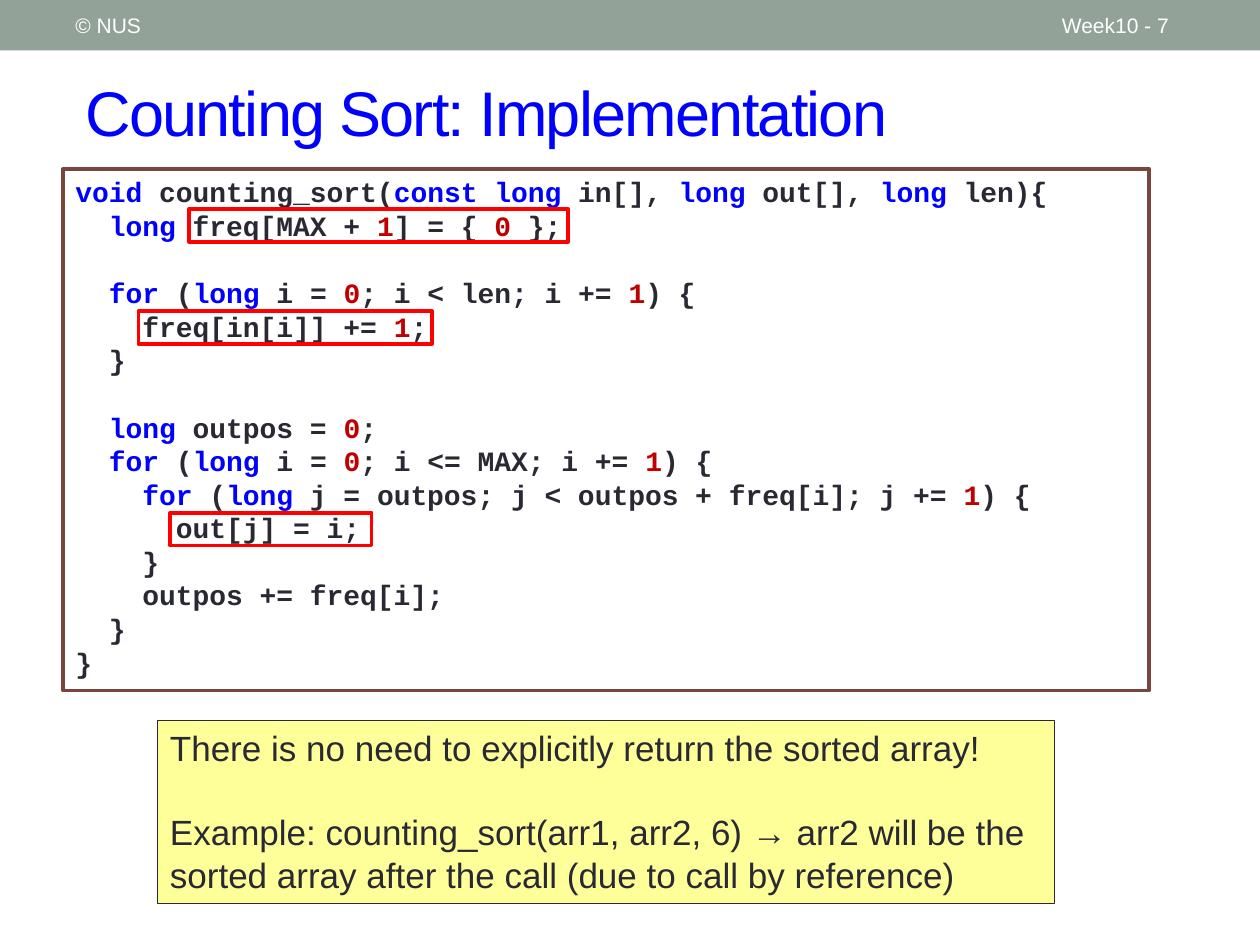
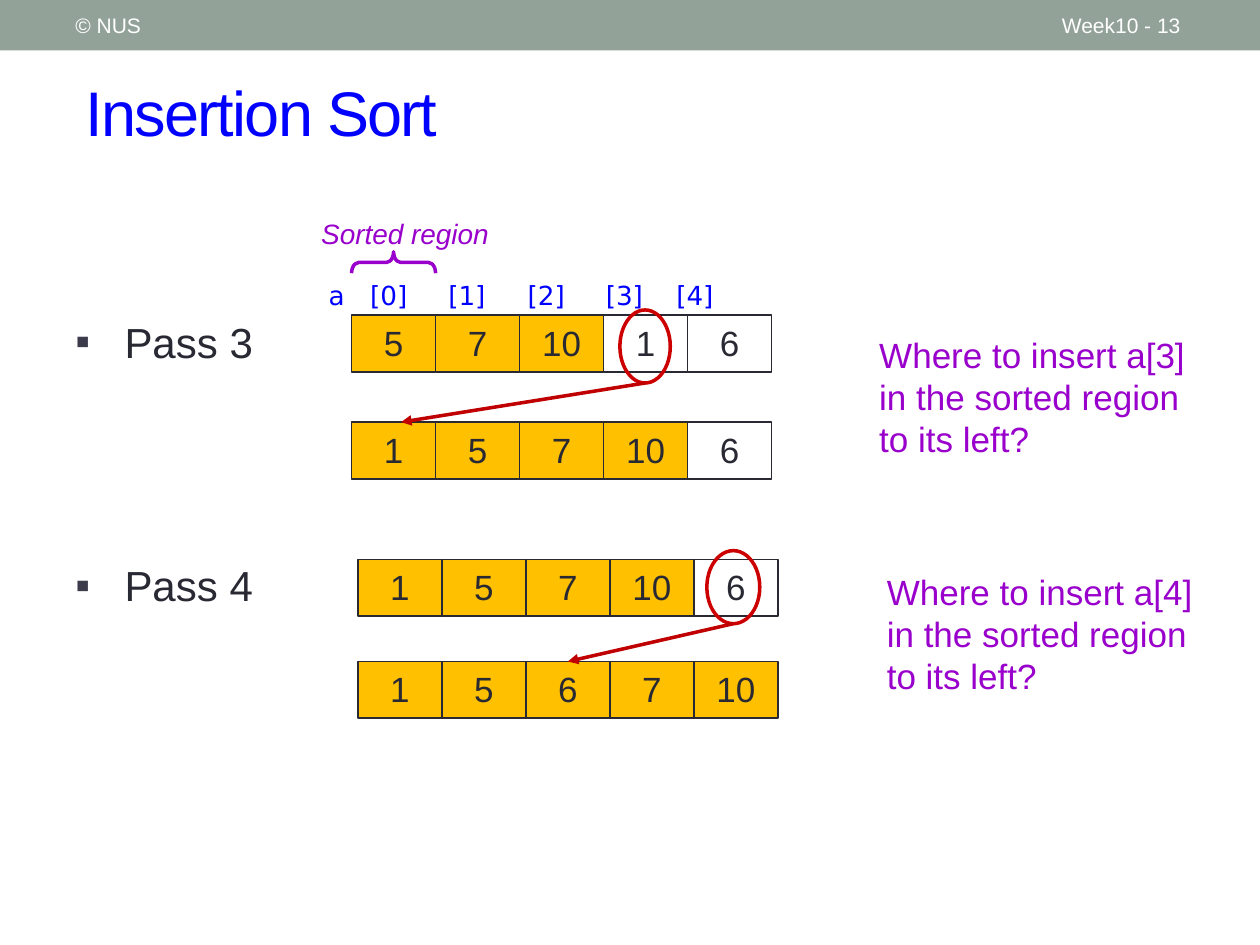
from itertools import groupby

from lxml import etree
from pptx import Presentation
from pptx.dml.color import RGBColor
from pptx.enum.shapes import MSO_CONNECTOR, MSO_SHAPE
from pptx.enum.text import MSO_ANCHOR, PP_ALIGN
from pptx.oxml.ns import qn
from pptx.util import Inches, Pt

RECTANGLE, OVAL, BRACE = MSO_SHAPE.RECTANGLE, MSO_SHAPE.OVAL, MSO_SHAPE.LEFT_BRACE
STRAIGHT = MSO_CONNECTOR.STRAIGHT
TOP, MIDDLE = MSO_ANCHOR.TOP, MSO_ANCHOR.MIDDLE
LEFT, CENTER = PP_ALIGN.LEFT, PP_ALIGN.CENTER

INK, WHITE, BLUE, PURPLE = "292934", "FFFFFF", "0000FF", "9900CC"
BAND, FRAME, NOTE, MARK = "93A299", "79463D", "FFFF99", "FF0000"
SORTED, RING, ARROW, NUMBER = "FFC000", "CC0000", "C00000", "C00000"
BULLET = "3B3B4B"

SANS, MONO, LABEL = "Arial", "Courier New", "DejaVu Sans"
LINE_HEIGHT = 1.2
CELL_WIDTH, CELL_HEIGHT = 2 / 3, 0.45

KEYWORDS = {"void", "const", "long", "for"}
CODE = """\
void counting_sort(const long in[], long out[], long len){
  long freq[MAX + 1] = { 0 };

  for (long i = 0; i < len; i += 1) {
    freq[in[i]] += 1;
  }

  long outpos = 0;
  for (long i = 0; i <= MAX; i += 1) {
    for (long j = outpos; j < outpos + freq[i]; j += 1) {
      out[j] = i;
    }
    outpos += freq[i];
  }
}"""


def color(value):
    return RGBColor.from_string(value)


# Basic parts
def add_box(slide, kind, left, top, width, height, fill=None, line=None, weight=1):
    shape = slide.shapes.add_shape(
        kind, Inches(left), Inches(top), Inches(width), Inches(height))
    shape.shadow.inherit = False
    if fill:
        shape.fill.solid()
        shape.fill.fore_color.rgb = color(fill)
    else:
        shape.fill.background()
    if line:
        shape.line.color.rgb = color(line)
        shape.line.width = Pt(weight)
    else:
        shape.line.fill.background()
    return shape


def add_run(paragraph, text, size, ink, font=SANS, bold=False, italic=False):
    run = paragraph.add_run()
    run.text = text
    run.font.name = font
    run.font.size = Pt(size)
    run.font.color.rgb = color(ink)
    run.font.bold = bold
    run.font.italic = italic
    return run


def open_paragraphs(shape, count, anchor=TOP, align=LEFT):
    frame = shape.text_frame
    frame.word_wrap = True
    frame.vertical_anchor = anchor
    for _ in range(count - 1):
        frame.add_paragraph()
    for paragraph in frame.paragraphs:
        paragraph.alignment = align
    return frame.paragraphs


def write(shape, text, size, ink, anchor=TOP, align=LEFT, **style):
    paragraph = open_paragraphs(shape, 1, anchor, align)[0]
    return add_run(paragraph, text, size, ink, **style)


def add_text_box(slide, left, top, width, height):
    return slide.shapes.add_textbox(
        Inches(left), Inches(top), Inches(width), Inches(height))


def add_arrow(slide, start, end, target=None):
    points = [Inches(value) for value in (*start, *end)]
    connector = slide.shapes.add_connector(STRAIGHT, *points)
    connector.line.color.rgb = color(ARROW)
    connector.line.width = Pt(2)
    if target is not None:
        connector.end_connect(target, 0)
    properties = connector._element.spPr
    etree.SubElement(properties.find(qn("a:ln")), qn("a:tailEnd"), type="triangle")
    etree.SubElement(properties, qn("a:effectLst"))


# Band, header texts and title of every slide
def add_base(presentation, title, number):
    slide = presentation.slides.add_slide(presentation.slide_layouts[6])
    add_box(slide, RECTANGLE, 0, 0, 10, 0.4, BAND)
    heading = write(add_text_box(slide, 0.58, 0.42, 9.17, 0.92), title, 36, BLUE, MIDDLE)
    heading.font._element.set("spc", "-100")
    for text, left, width in ((f"Week10 - {number}", 8.33, 1.17), ("© NUS", 0.5, 3.17)):
        write(add_text_box(slide, left, 0.02, width, 0.36), text, 12, WHITE, MIDDLE)
    return slide


# Code listing with coloured keywords and numbers
def token_color(token):
    if token in KEYWORDS:
        return BLUE
    return NUMBER if token.isdigit() else INK


def add_code(slide, left, top, width, height):
    shape = add_box(slide, RECTANGLE, left, top, width, height, WHITE, FRAME, 2.08)
    lines = CODE.split("\n")
    paragraphs = iter(open_paragraphs(shape, sum(map(bool, lines))))
    gap = 0
    for line in lines:
        if not line:
            gap += 16 * LINE_HEIGHT
            continue
        paragraph = next(paragraphs)
        if gap:
            paragraph.space_before = Pt(gap)
            gap = 0
        tokens = ["".join(group) for _, group in
                  groupby(line, lambda letter: letter.isalnum() or letter == "_")]
        for ink, group in groupby(tokens, token_color):
            add_run(paragraph, "".join(group), 16, ink, MONO, bold=True)
    # Frames around the key statements
    for mark_left, mark_top, mark_width in (
            (1, 0.32, 3.01), (0.6, 1.13, 2.33), (0.85, 2.73, 1.6)):
        add_box(slide, RECTANGLE, left + mark_left, top + mark_top, mark_width, 0.26,
                line=MARK, weight=2.08)


def add_note(slide, left, top, width, height):
    shape = add_box(slide, RECTANGLE, left, top, width, height, NOTE, INK, 0.75)
    first, second = open_paragraphs(shape, 2)
    add_run(first, "There is no need to explicitly return the sorted array!", 20, INK)
    second.space_before = Pt(20 * LINE_HEIGHT)
    add_run(second, "Example: counting_sort(arr1, arr2, 6) → arr2 will be the "
            "sorted array after the call (due to call by reference)", 20, INK)


# Array drawn as a row of cells, the sorted ones filled
def add_array(slide, left, top, values, sorted_count):
    cells = []
    for index, value in enumerate(values):
        cell = add_box(slide, RECTANGLE, left + index * CELL_WIDTH, top,
                       CELL_WIDTH, CELL_HEIGHT,
                       SORTED if index < sorted_count else WHITE, INK)
        write(cell, str(value), 20, INK, align=CENTER)
        cells.append(cell)
    return cells


# One pass: array before and after, ring on the moved value, question
def add_pass(slide, left, top, number, before, after, drop, ring, target, question):
    add_array(slide, left, top, before, number)
    cells = add_array(slide, left, top + drop, after, number + 1)
    ring_left, ring_top, ring_width = ring
    ring_left, ring_top, ring_height = left + ring_left, top + ring_top, 0.58
    add_box(slide, OVAL, ring_left, ring_top, ring_width, ring_height,
            line=RING, weight=2)
    target_index, shift = target
    start = (ring_left + ring_width / 2, ring_top + ring_height)
    end = (left + (target_index + 0.5) * CELL_WIDTH + shift, top + drop)
    add_arrow(slide, start, end, None if shift else cells[target_index])
    question_left, question_top = question
    box = add_text_box(slide, left + question_left, top + question_top, 2.67, 1.1)
    write(box, f"Where to insert a[{number}] in the sorted region to its left?",
          20, PURPLE)


# Brace, caption and index labels above the first array
def add_array_labels(slide, left, top):
    brace_width, brace_height = 0.17, CELL_WIDTH
    brace = add_box(slide, BRACE, left + (CELL_WIDTH - brace_width) / 2, top - 0.75,
                    brace_width, brace_height, line=PURPLE, weight=2)
    brace.rotation = 90
    brace.adjustments[0] = 0.333
    write(add_text_box(slide, left - 0.41, top - 0.83, 1.67, 0.37), "Sorted region",
          16, PURPLE, align=CENTER, italic=True)
    box = add_text_box(slide, left - 0.28, top - 0.33, 3.67, 0.35)
    paragraph = open_paragraphs(box, 1)[0]
    tabs = etree.SubElement(paragraph._p.get_or_add_pPr(), qn("a:tabLst"))
    for position in (0.33, 0.95, 1.58, 2.2, 2.76):
        etree.SubElement(tabs, qn("a:tab"), pos=str(Inches(position)), algn="l")
    add_run(paragraph, "a\t[0]\t[1]\t[2]\t[3]\t[4]", 15, BLUE, LABEL)


def add_pass_names(slide, left, top, width, height):
    paragraphs = open_paragraphs(add_text_box(slide, left, top, width, height), 2)
    for paragraph, name in zip(paragraphs, ("Pass 3", "Pass 4")):
        properties = paragraph._p.get_or_add_pPr()
        properties.set("marL", str(Inches(0.39)))
        properties.set("indent", str(-Inches(0.39)))
        bullet_color = etree.SubElement(properties, qn("a:buClr"))
        etree.SubElement(bullet_color, qn("a:srgbClr"), val=BULLET)
        etree.SubElement(properties, qn("a:buFont"), typeface=SANS)
        etree.SubElement(properties, qn("a:buChar"), char="▪")
        add_run(paragraph, name, 24, INK)
    # Three free lines between the names
    paragraphs[1].space_before = Pt(3 * (24 * LINE_HEIGHT + 6) + 6)


def build_counting_sort(presentation):
    slide = add_base(presentation, "Counting Sort: Implementation", 7)
    add_code(slide, 0.5, 1.34, 8.62, 4.14)
    add_note(slide, 1.25, 5.72, 7.12, 1.45)


def build_insertion_sort(presentation):
    slide = add_base(presentation, "Insertion Sort", 13)
    add_pass_names(slide, 0.5, 2.46, 9.17, 4.9)
    add_array_labels(slide, 2.79, 2.5)
    add_pass(slide, 2.79, 2.5, 3, (5, 7, 10, 1, 6), (1, 5, 7, 10, 6), drop=0.85,
             ring=(2.13, -0.04, 0.4), target=(0, 0.06), question=(4.09, 0.1))
    add_pass(slide, 2.84, 4.44, 4, (1, 5, 7, 10, 6), (1, 5, 6, 7, 10), drop=0.81,
             ring=(2.77, -0.07, 0.42), target=(2, 0), question=(4.1, 0.04))


def main():
    presentation = Presentation()
    presentation.slide_width = Inches(10)
    presentation.slide_height = Inches(7.5)
    build_counting_sort(presentation)
    build_insertion_sort(presentation)
    presentation.save("out.pptx")


if __name__ == "__main__":
    main()
